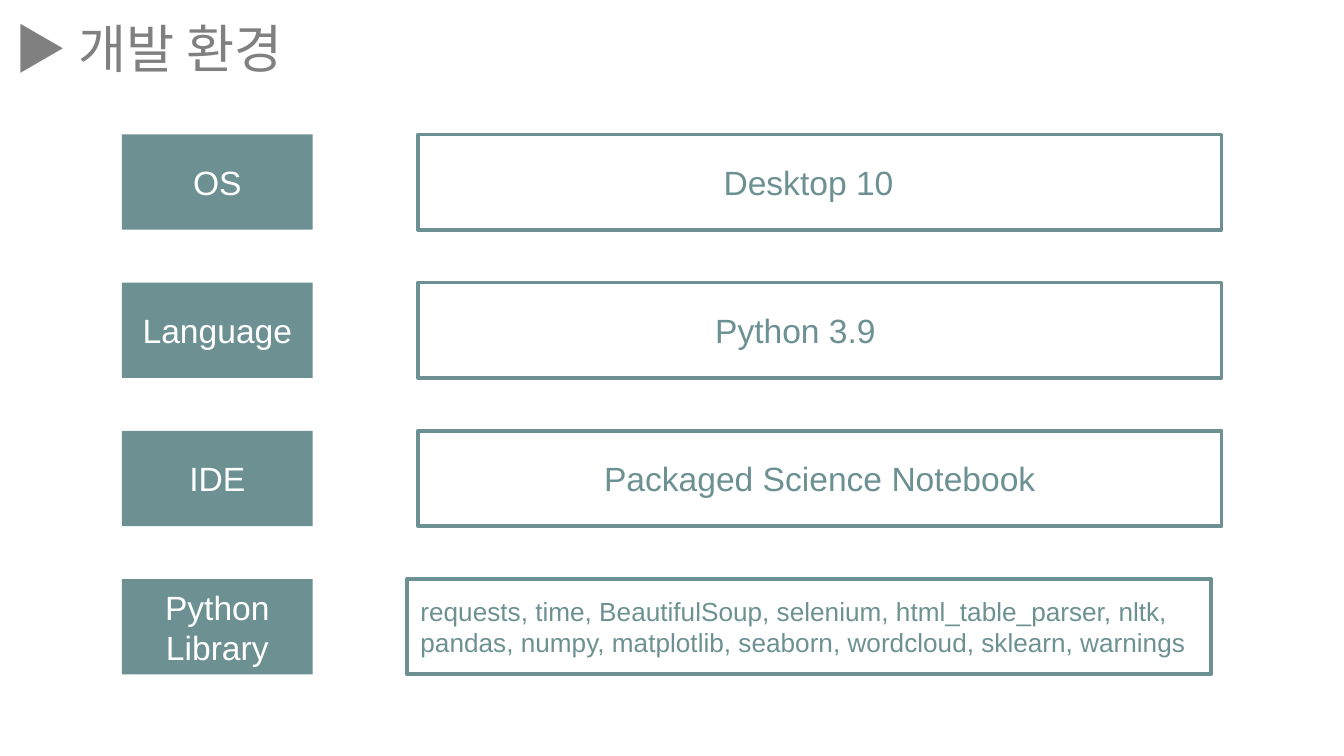
from lxml import etree
from pptx import Presentation
from pptx.dml.color import RGBColor
from pptx.enum.shapes import MSO_SHAPE
from pptx.enum.text import MSO_ANCHOR, MSO_AUTO_SIZE, PP_ALIGN
from pptx.oxml.ns import qn
from pptx.util import Pt

RECTANGLE = MSO_SHAPE.RECTANGLE
LEFT, CENTER = PP_ALIGN.LEFT, PP_ALIGN.CENTER
TOP, MIDDLE = MSO_ANCHOR.TOP, MSO_ANCHOR.MIDDLE
NO_FIT = MSO_AUTO_SIZE.NONE

HEADING = "▶ 개발 환경"
LIBRARIES = ("requests, time, BeautifulSoup, selenium, html_table_parser, nltk, "
             "pandas, numpy, matplotlib, seaborn, wordcloud, sklearn, warnings")
ENVIRONMENT = [
    {"label": "OS", "value": "Desktop 10", "right_inset": 19.2},
    {"label": "Language", "value": "Python 3.9", "right_inset": 33.2},
    {"label": "IDE", "value": "Packaged Science Notebook"},
    {"label": "Python\nLibrary", "value": LIBRARIES, "size": "small",
     "align": LEFT, "shift": -5.76},
]

THEME = {
    "teal": RGBColor(0x6D, 0x91, 0x93),
    "gray": RGBColor(0x80, 0x80, 0x80),
    "white": RGBColor(0xFF, 0xFF, 0xFF),
    "heading": 28, "body": 18, "small": 14,
    "heading_font": "Noto Sans CJK KR", "body_font": "Arial",
}

SLIDE_WIDTH, SLIDE_HEIGHT = 720, 405
FIRST_ROW, ROW_STEP, ROW_HEIGHT = 72, 79.4, 51.12
LABEL_LEFT, LABEL_WIDTH = 65.3, 102.24
VALUE_LEFT, VALUE_WIDTH = 223.92, 430.56
BORDER = 2


def write(shape, text, color, size="body", font="body_font", align=CENTER,
          anchor=MIDDLE, left_inset=7.2, right_inset=7.2):
    frame = shape.text_frame
    frame.text = text
    frame.word_wrap = True
    frame.auto_size = NO_FIT
    frame.vertical_anchor = anchor
    frame.margin_left, frame.margin_right = Pt(left_inset), Pt(right_inset)
    frame.margin_top = frame.margin_bottom = Pt(3.6)
    for paragraph in frame.paragraphs:
        paragraph.alignment = align
        paragraph.space_before = Pt(0)
        for run in paragraph.runs:
            run.font.size = Pt(THEME[size])
            run.font.name = THEME[font]
            run.font.color.rgb = THEME[color]
            east_asian = etree.SubElement(run._r.get_or_add_rPr(), qn("a:ea"))
            east_asian.set("typeface", THEME[font])


def add_box(slide, left, top, width, filled):
    box = slide.shapes.add_shape(RECTANGLE, Pt(left), Pt(top), Pt(width), Pt(ROW_HEIGHT))
    box.shadow.inherit = False
    if filled:
        box.fill.solid()
        box.fill.fore_color.rgb = THEME["teal"]
        box.line.fill.background()
    else:
        box.fill.background()
        box.line.color.rgb = THEME["teal"]
        box.line.width = Pt(BORDER)
    return box


def main():
    deck = Presentation()
    deck.slide_width, deck.slide_height = Pt(SLIDE_WIDTH), Pt(SLIDE_HEIGHT)
    slide = deck.slides.add_slide(deck.slide_layouts[5])

    heading = slide.shapes.title
    heading.left, heading.top = Pt(0), Pt(5)
    heading.width, heading.height = Pt(504), Pt(45.4)
    write(heading, HEADING, "gray", size="heading", font="heading_font",
          align=LEFT, anchor=TOP, left_inset=8)

    for index, entry in enumerate(ENVIRONMENT):
        top = FIRST_ROW + index * ROW_STEP
        label = add_box(slide, LABEL_LEFT, top, LABEL_WIDTH, filled=True)
        write(label, entry["label"], "white")
        value = add_box(slide, VALUE_LEFT + entry.get("shift", 0), top, VALUE_WIDTH,
                        filled=False)
        write(value, entry["value"], "teal", size=entry.get("size", "body"),
              align=entry.get("align", CENTER),
              right_inset=entry.get("right_inset", 7.2))

    deck.save("out.pptx")


if __name__ == "__main__":
    main()
